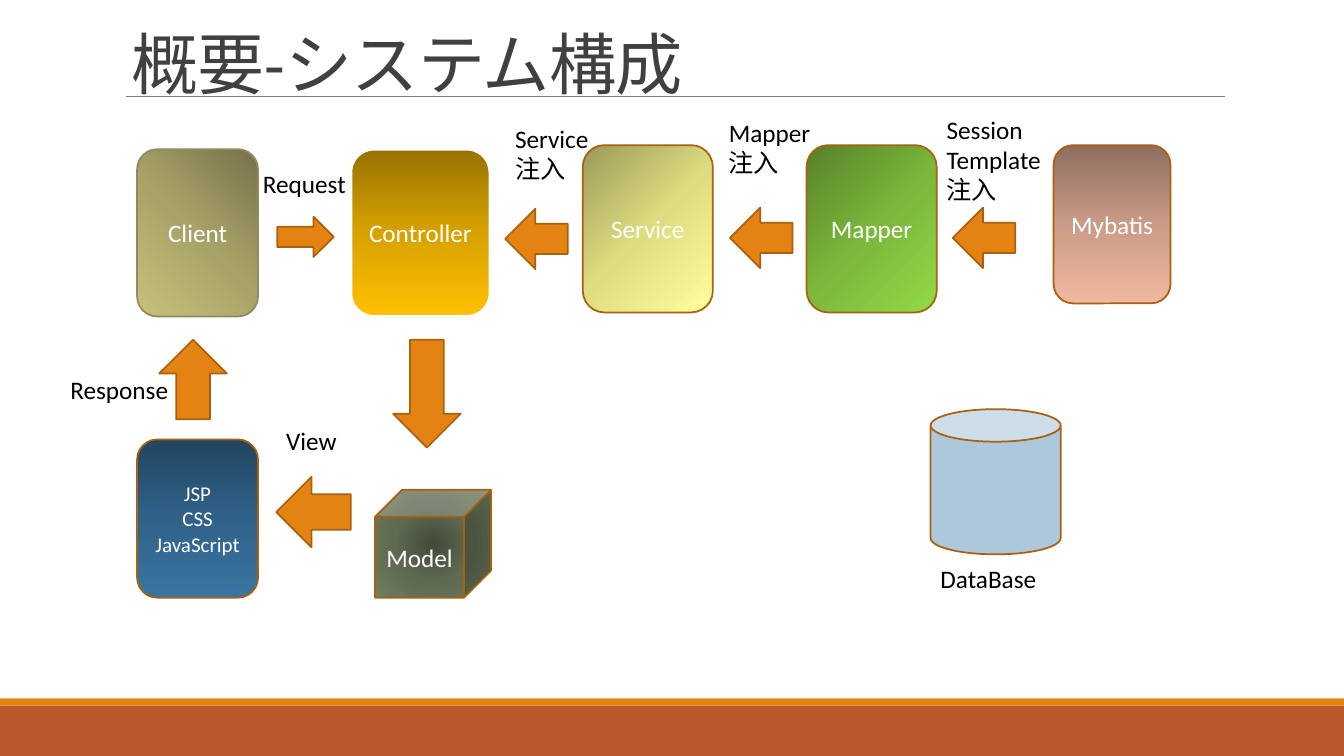
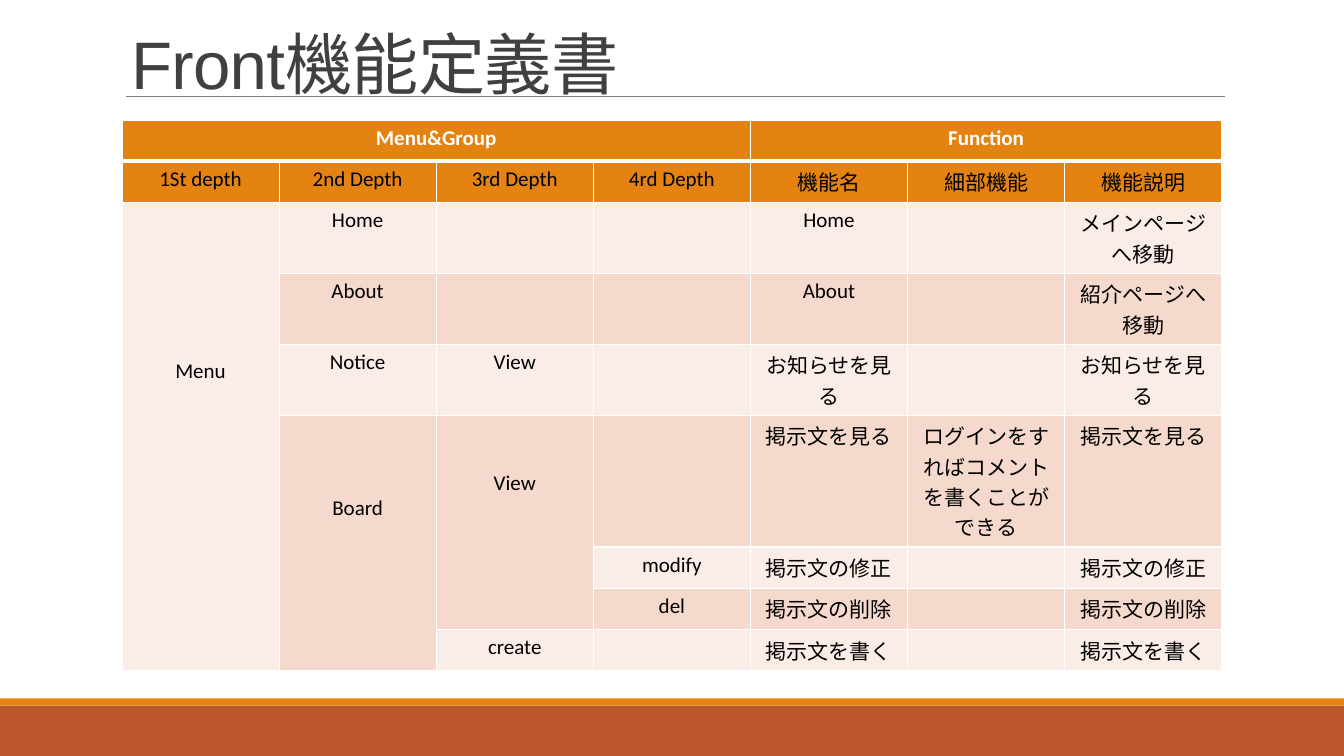
from pptx import Presentation
from pptx.dml.color import RGBColor
from pptx.enum.shapes import MSO_CONNECTOR, MSO_SHAPE
from pptx.enum.text import MSO_ANCHOR, MSO_AUTO_SIZE, PP_ALIGN
from pptx.oxml import parse_xml
from pptx.oxml.ns import nsdecls, qn
from pptx.util import Inches, Pt

RECTANGLE, ROUNDED = MSO_SHAPE.RECTANGLE, MSO_SHAPE.ROUNDED_RECTANGLE
CUBE, CAN = MSO_SHAPE.CUBE, MSO_SHAPE.CAN
LEFT_ARROW, RIGHT_ARROW = MSO_SHAPE.LEFT_ARROW, MSO_SHAPE.RIGHT_ARROW
UP_ARROW, DOWN_ARROW = MSO_SHAPE.UP_ARROW, MSO_SHAPE.DOWN_ARROW
STRAIGHT = MSO_CONNECTOR.STRAIGHT
TOP, MIDDLE, BOTTOM = MSO_ANCHOR.TOP, MSO_ANCHOR.MIDDLE, MSO_ANCHOR.BOTTOM
LEFT, CENTER = PP_ALIGN.LEFT, PP_ALIGN.CENTER
NO_FIT, GROW = MSO_AUTO_SIZE.NONE, MSO_AUTO_SIZE.SHAPE_TO_FIT_TEXT

COLORS = {
    "orange": "E48312", "rust": "BD582C", "outline": "A9610D",
    "rule": "808080", "title": "404040", "white": "FFFFFF", "black": "000000",
    "khaki line": "908B5F", "database": "ADC8DD",
    "light row": "FAEDE7", "dark row": "F5D9CC",
}
GRADIENTS = {
    "khaki": ("767249", "A8A268", "C7C07B"),
    "gold": ("977200", "D7A200", "FFC000"),
    "yellow": ("9B9B5A", "DDDD80", "FFFFA0"),
    "green": ("57812A", "7BB73B", "92DA46"),
    "salmon": ("8E6D5F", "CA9B87", "EFB8A0"),
    "olive": ("424A39", "5E6A51", "6F7D61"),
    "blue": ("224560", "306289", "3974A2"),
}
FONT, CJK_FONT = "Calibri", "Noto Sans"
TEXT_LINE = 0.25  # height of one table text line, inches


def rgb(name):
    return RGBColor.from_string(COLORS[name])


def box(*lengths):
    return [Inches(length) for length in lengths]


class Deck:
    """Holds the shared style and the current slide."""

    def __init__(self):
        self.presentation = Presentation()
        self.presentation.slide_width = Inches(13.33)
        self.presentation.slide_height = Inches(7.5)
        self.slide = None

    def new_slide(self, title, title_font):
        layout = self.presentation.slide_layouts[5]
        self.slide = self.presentation.slides.add_slide(layout)
        # Footer bands and rule under the title
        self.shape(RECTANGLE, (0, 7, 13.33, 0.5), "rust", line=None)
        self.shape(RECTANGLE, (0, 6.93, 13.33, 0.07), "orange", line=None)
        rule = self.slide.shapes.add_connector(STRAIGHT, *box(1.25, 0.96, 12.15, 0.96))
        rule.line.color.rgb = rgb("rule")
        rule.line.width = Pt(0.5)
        rule._element.spPr.append(parse_xml(f"<a:effectLst {nsdecls('a')}/>"))
        # Title
        holder = self.slide.shapes.title
        holder.left, holder.top, holder.width, holder.height = box(1.2, 0.02, 11, 1.05)
        frame = holder.text_frame
        frame.auto_size = NO_FIT
        self.set_text(frame, title, 48, "title", LEFT, BOTTOM, font=title_font)
        paragraph = frame.paragraphs[0]
        paragraph.line_spacing = 0.85
        paragraph.runs[0]._r.get_or_add_rPr().set("spc", "-50")

    def set_text(self, frame, text, size, color, align, anchor, font=FONT, cjk_font=None):
        frame.text = text
        frame.word_wrap = True
        frame.vertical_anchor = anchor
        for paragraph in frame.paragraphs:
            paragraph.alignment = align
            is_cjk = cjk_font and not paragraph.text.isascii()
            self.style(paragraph, size, color, cjk_font if is_cjk else font)

    def style(self, paragraph, size, color, font=FONT, bold=False):
        paragraph.font.size = Pt(size)
        paragraph.font.name = font
        paragraph.font.bold = bold
        paragraph.font.color.rgb = rgb(color)

    def shape(self, kind, place, fill, line="outline", width=1.25):
        shape = self.slide.shapes.add_shape(kind, *box(*place))
        shape.shadow.inherit = False
        shape.fill.solid()
        if fill in COLORS:
            shape.fill.fore_color.rgb = rgb(fill)
        if line:
            shape.line.color.rgb = rgb(line)
            shape.line.width = Pt(width)
        else:
            shape.line.fill.background()
        return shape

    def node(self, kind, place, text, gradient, angle, size=18, line="outline", width=1.25):
        """Labelled shape with a three-stop gradient; no angle means radial."""
        shape = self.shape(kind, place, gradient, line, width)
        stops = "".join(
            f'<a:gs pos="{position}"><a:srgbClr val="{color}"/></a:gs>'
            for position, color in zip((0, 50000, 100000), GRADIENTS[gradient]))
        if angle is None:
            direction = ('<a:path path="circle"><a:fillToRect l="50000" t="50000" '
                         'r="50000" b="50000"/></a:path>')
        else:
            direction = f'<a:lin ang="{angle * 60000}" scaled="0"/>'
        properties = shape._element.spPr
        properties.replace(properties.find(qn("a:solidFill")), parse_xml(
            f'<a:gradFill {nsdecls("a")} rotWithShape="1">'
            f"<a:gsLst>{stops}</a:gsLst>{direction}</a:gradFill>"))
        self.set_text(shape.text_frame, text, size, "white", CENTER, MIDDLE)

    def label(self, place, text):
        frame = self.slide.shapes.add_textbox(*box(*place)).text_frame
        self.set_text(frame, text, 18, "black", LEFT, TOP, cjk_font=CJK_FONT)
        frame.auto_size = GROW

    def borders(self, cell, top, bottom):
        properties = cell._tc.get_or_add_tcPr()
        widths = {"lnL": 1, "lnR": 1, "lnT": top, "lnB": bottom}
        for index, (side, width) in enumerate(widths.items()):
            properties.insert(index, parse_xml(
                f'<a:{side} {nsdecls("a")} w="{Pt(width)}"><a:solidFill>'
                f'<a:srgbClr val="{COLORS["white"]}"/></a:solidFill></a:{side}>'))

    def table(self, place, rows, heights, merges, lead_lines):
        frame = self.slide.shapes.add_table(len(rows), len(rows[0]), *box(*place))
        table = frame.table
        for column in table.columns:
            column.width = Inches(place[2] / len(rows[0]))
        for row_index, texts in enumerate(rows):
            table.rows[row_index].height = Inches(heights[row_index])
            header = row_index == 0
            fill = "orange" if row_index < 2 else ("light row", "dark row")[row_index % 2]
            for column_index, text in enumerate(texts):
                cell = table.cell(row_index, column_index)
                cell.fill.solid()
                cell.fill.fore_color.rgb = rgb(fill)
                self.borders(cell, 3 if row_index == 1 else 1, 3 if header else 1)
                cell.text = text
                paragraph = cell.text_frame.paragraphs[0]
                paragraph.alignment = CENTER
                self.style(paragraph, 15, "white" if header else "black", bold=header)
        for first_row, first_column, last_row, last_column in merges:
            table.cell(first_row, first_column).merge(table.cell(last_row, last_column))
        for position, lines in lead_lines.items():
            table.cell(*position).margin_top = Inches(0.05 + lines * TEXT_LINE)


def system_slide(deck):
    deck.new_slide("概要-システム構成", "Calibri")
    # Components
    deck.node(ROUNDED, (1.36, 1.48, 1.2, 1.66), "Client", "khaki", 135, line="khaki line")
    deck.node(ROUNDED, (3.48, 1.48, 1.38, 1.66), "Controller", "gold", 90,
              line="white", width=2)
    deck.node(ROUNDED, (5.78, 1.44, 1.29, 1.66), "Service", "yellow", 45)
    deck.node(ROUNDED, (8, 1.44, 1.29, 1.66), "Mapper", "green", 45)
    deck.node(ROUNDED, (10.45, 1.44, 1.16, 1.57), "Mybatis", "salmon", 90)
    deck.node(CUBE, (3.72, 4.86, 1.15, 1.07), "Model", "olive", None)
    deck.node(ROUNDED, (1.36, 4.36, 1.2, 1.57), "JSP\nCSS\nJavaScript", "blue", 90, size=15)
    deck.shape(CAN, (9.23, 4.06, 1.29, 1.44), "database")
    # Flow arrows
    for kind, place in (
        (RIGHT_ARROW, (2.75, 2.15, 0.56, 0.4)),
        (DOWN_ARROW, (3.9, 3.37, 0.67, 1.07)),
        (LEFT_ARROW, (2.74, 4.73, 0.74, 0.7)),
        (UP_ARROW, (1.58, 3.37, 0.67, 0.79)),
        (LEFT_ARROW, (5.01, 2.07, 0.62, 0.6)),
        (LEFT_ARROW, (7.24, 2.06, 0.62, 0.6)),
        (LEFT_ARROW, (9.45, 2.06, 0.62, 0.6)),
    ):
        deck.shape(kind, place, "orange")
    # Labels
    for place, text in (
        ((2.51, 1.62, 1.09, 0.4), "Request"),
        ((2.74, 4.17, 0.74, 0.4), "View"),
        ((0.6, 3.66, 1.2, 0.4), "Response"),
        ((7.13, 1.11, 1.07, 0.71), "Mapper\n注入"),
        ((5.01, 1.17, 0.96, 0.71), "Service\n注入"),
        ((9.29, 1.08, 1.16, 1.01), "Session Template\n注入"),
        ((9.23, 5.54, 1.8, 0.4), "DataBase"),
    ):
        deck.label(place, text)


def function_slide(deck):
    deck.new_slide("Front機能定義書", "Arial")
    rows = (
        ("Menu&Group", "", "", "", "Function", "", ""),
        ("1St depth", "2nd Depth", "3rd Depth", "4rd Depth", "機能名", "細部機能", "機能説明"),
        ("Menu", "Home", "", "", "Home", "", "メインページへ移動"),
        ("", "About", "", "", "About", "", "紹介ページへ移動"),
        ("", "Notice", "View", "", "お知らせを見る", "", "お知らせを見る"),
        ("", "Board", "View", "", "掲示文を見る",
         "ログインをすればコメントを書くことができる", "掲示文を見る"),
        ("", "", "", "modify", "掲示文の修正", "", "掲示文の修正"),
        ("", "", "", "del", "掲示文の削除", "", "掲示文の削除"),
        ("", "", "create", "", "掲示文を書く", "", "掲示文を書く"),
    )
    heights = (0.41, 0.41, 0.7, 0.7, 0.7, 1.3, 0.41, 0.41, 0.41)
    merges = ((0, 0, 0, 3), (0, 4, 0, 6), (2, 0, 8, 0), (5, 1, 8, 1), (5, 2, 7, 2))
    lead_lines = {(2, 0): 6, (5, 1): 3, (5, 2): 2}
    deck.table((1.21, 1.19, 10.91, sum(heights)), rows, heights, merges, lead_lines)


def main():
    deck = Deck()
    system_slide(deck)
    function_slide(deck)
    deck.presentation.save("out.pptx")


if __name__ == "__main__":
    main()
